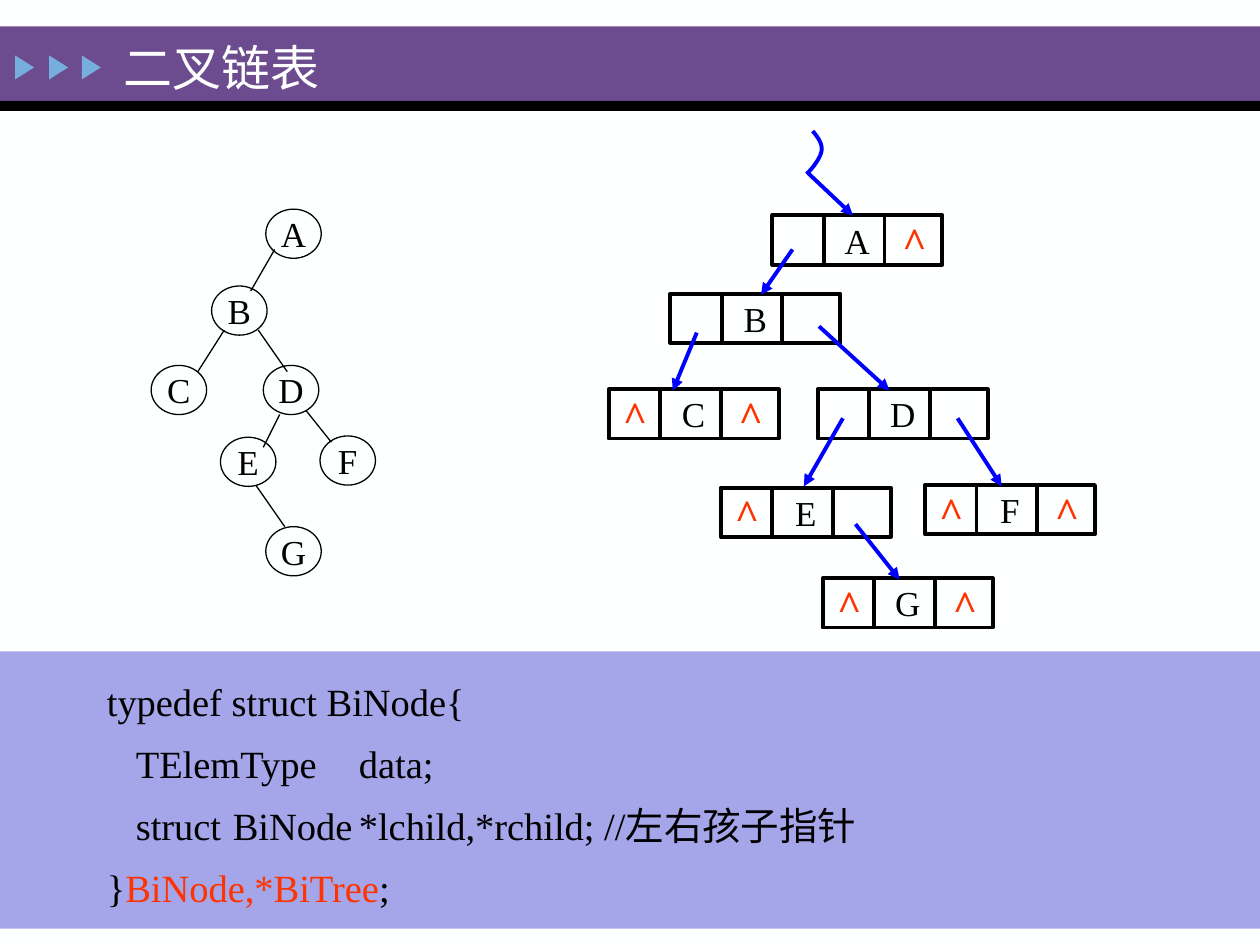
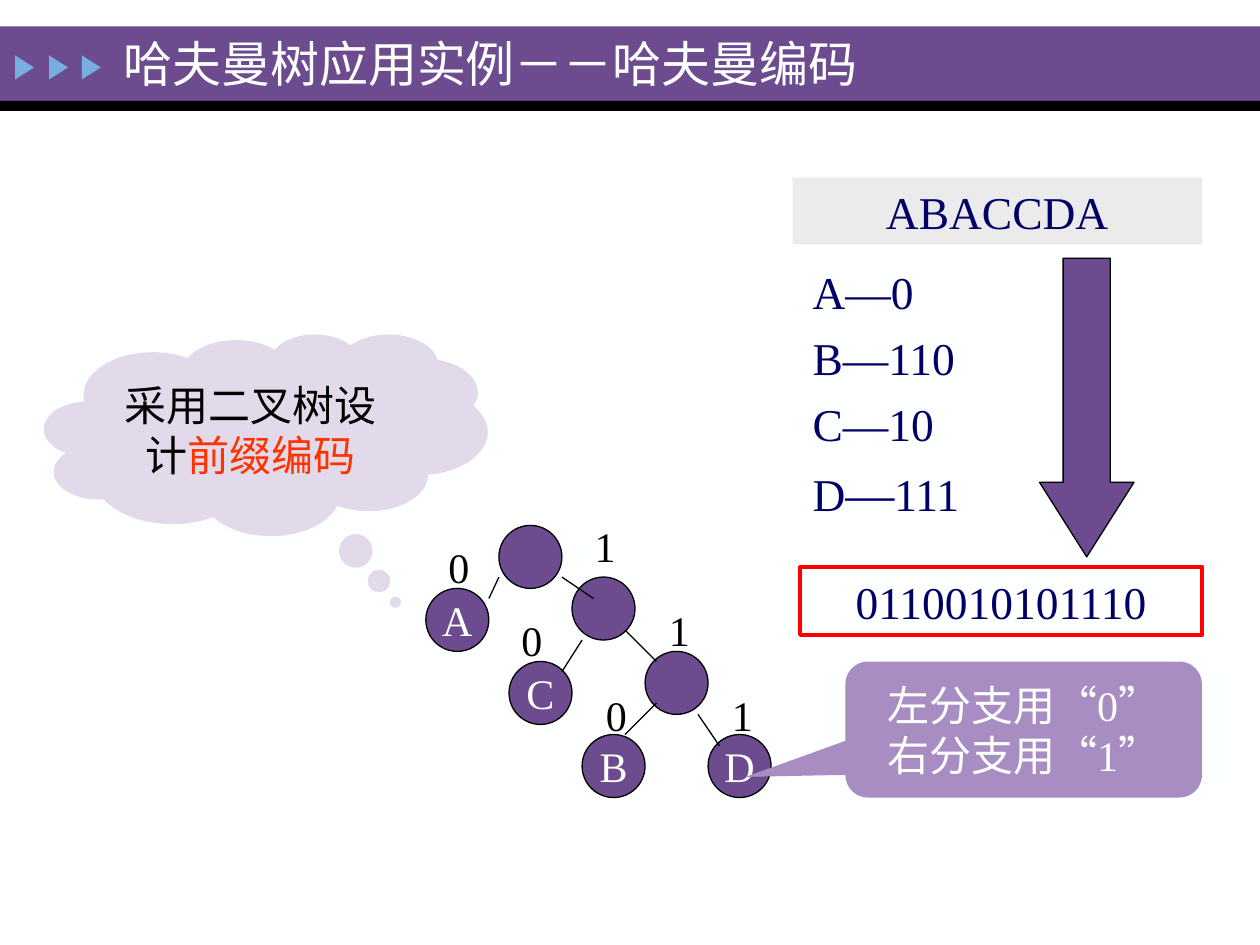
"""Build two slides on binary linked lists and Huffman coding."""
from dataclasses import dataclass
from typing import NamedTuple, Optional

from lxml.etree import SubElement
from pptx import Presentation
from pptx.dml.color import RGBColor
from pptx.enum.shapes import MSO_CONNECTOR, MSO_SHAPE
from pptx.enum.text import MSO_ANCHOR, MSO_AUTO_SIZE, PP_ALIGN
from pptx.oxml.ns import qn
from pptx.util import Inches, Pt

FONT = "Times New Roman"
WHITE, BLACK, PURPLE, SKY = "FEFFFF", "000000", "6C4C8F", "76AEDD"
LAVENDER, CLOUD, CALLOUT, GREY = "A5A5E9", "E2D9EB", "A78DC2", "EBEBEB"
ORANGE, RED, BLUE, NAVY = "FF3300", "FF0000", "0000FF", "000066"
THIN, THICK = 0.75, 2.25


class Box(NamedTuple):
    """Left, top, width and height in inches."""
    left: float
    top: float
    width: float
    height: float

    def lengths(self) -> list:
        """Return the four sides as lengths."""
        return [Inches(side) for side in self]


class Edge(NamedTuple):
    """A straight line from one point to another, in inches."""
    x1: float
    y1: float
    x2: float
    y2: float


class Span(NamedTuple):
    """A stretch of text that differs from its paragraph."""
    text: str
    color: Optional[str] = None
    size: Optional[float] = None


class Circle(NamedTuple):
    """A tree node with its top left corner."""
    label: str
    left: float
    top: float


@dataclass(frozen=True)
class ListNode:
    """A linked-list node and its empty child pointers."""
    label: str
    left: float
    top: float
    no_left: bool = False
    no_right: bool = False


@dataclass(frozen=True)
class CodeLine:
    """A line of code with its first-line indent and tab stops."""
    spans: tuple
    indent: float = 0
    tabs: tuple = ()


TREE_NODES = [
    Circle("A", 2.11, 1.66), Circle("B", 1.68, 2.27), Circle("C", 1.2, 2.9), Circle("D", 2.09, 2.9),
    Circle("E", 1.75, 3.47), Circle("F", 2.54, 3.46), Circle("G", 2.11, 4.18),
]
TREE_EDGES = [
    Edge(2.18, 1.98, 1.99, 2.31), Edge(1.78, 2.62, 1.57, 2.95), Edge(2.05, 2.62, 2.28, 2.95),
    Edge(2.22, 3.29, 2.09, 3.55), Edge(2.43, 3.26, 2.63, 3.51), Edge(2.03, 3.85, 2.26, 4.18),
]
LIST_NODES = [
    ListNode("A", 6.13, 1.71, no_right=True), ListNode("B", 5.32, 2.33),
    ListNode("C", 4.83, 3.09, True, True), ListNode("D", 6.49, 3.09),
    ListNode("E", 5.72, 3.87, no_left=True), ListNode("F", 7.34, 3.85, True, True),
    ListNode("G", 6.53, 4.59, True, True),
]
POINTERS = [
    Edge(6.29, 1.98, 6.04, 2.34), Edge(5.53, 2.64, 5.34, 3.1), Edge(6.5, 2.59, 7.06, 3.1),
    Edge(6.69, 3.32, 6.38, 3.86), Edge(7.6, 3.32, 7.95, 3.86), Edge(6.79, 4.16, 7.14, 4.6),
    Edge(6.42, 1.38, 6.77, 1.71),
]
ROOT_CURVES = [
    [(6.45, 1.04), (6.49, 1.09), (6.53, 1.14), (6.52, 1.2)],
    [(6.52, 1.2), (6.51, 1.26), (6.43, 1.36), (6.4, 1.38)],
]
STRUCT_LINES = [
    CodeLine(("typedef struct BiNode{",)),
    CodeLine(("TElemType\tdata;",), 0.23, (1.88,)),
    CodeLine(("struct\tBiNode\t*lchild,*rchild; //左右孩子指针",), 0.23, (1.05, 2.23)),
    CodeLine(("}", Span("BiNode,*BiTree", ORANGE), ";")),
]
HUFFMAN_NODES = [
    Circle("", 3.96, 4.17), Circle("", 4.54, 4.58), Circle("", 5.12, 5.17), Circle("A", 3.38, 4.67),
    Circle("C", 4.04, 5.25), Circle("B", 4.62, 5.83), Circle("D", 5.62, 5.83),
]
HUFFMAN_EDGES = [
    Edge(3.96, 4.58, 3.88, 4.75), Edge(4.46, 4.58, 4.71, 4.75), Edge(4.62, 5.08, 4.46, 5.33),
    Edge(5.21, 5.58, 4.96, 5.83), Edge(5.54, 5.67, 5.71, 5.92), Edge(4.96, 5, 5.21, 5.25),
]
BRANCH_BITS = [
    Circle("0", 3.46, 4.25), Circle("0", 4.04, 4.83), Circle("0", 4.71, 5.42),
    Circle("1", 4.62, 4.08), Circle("1", 5.21, 4.75), Circle("1", 5.71, 5.42),
]


def paint(target, color: str) -> None:
    """Set a fill or font to a hex colour."""
    if hasattr(target, "solid"):
        target.solid()
        target.fore_color.rgb = RGBColor.from_string(color)
    else:
        target.color.rgb = RGBColor.from_string(color)


def write(shape, *paragraphs, size=20, color=BLACK, bold=None, align=PP_ALIGN.CENTER,
          anchor=MSO_ANCHOR.MIDDLE, wrap=True, before=0, spacing=None):
    """Write paragraphs, each a string or a tuple of strings and spans."""
    frame = shape.text_frame
    frame.auto_size = MSO_AUTO_SIZE.NONE
    frame.word_wrap = wrap
    frame.vertical_anchor = anchor
    for index, content in enumerate(paragraphs):
        paragraph = frame.add_paragraph() if index else frame.paragraphs[0]
        paragraph.alignment = align
        paragraph.space_before = Pt(before if index else 0)
        paragraph.line_spacing = spacing
        for part in (content,) if isinstance(content, str) else content:
            span = Span(part) if isinstance(part, str) else part
            run = paragraph.add_run()
            run.text = span.text
            run.font.name = FONT
            run.font.size = Pt(span.size or size)
            run.font.bold = bold
            paint(run.font, span.color or color)
    return shape


def add_figure(slide, kind, box: Box, fill=None, line=None, width=THIN, adjust=()):
    """Add a preset shape with a plain fill and outline."""
    shape = slide.shapes.add_shape(kind, *box.lengths())
    shape.shadow.inherit = False
    for index, value in enumerate(adjust):
        shape.adjustments[index] = value
    finish(shape, fill, line, width)
    return shape


def finish(shape, fill, line, width) -> None:
    """Apply a fill and an outline, or none."""
    if fill:
        paint(shape.fill, fill)
    else:
        shape.fill.background()
    if line:
        paint(shape.line.fill, line)
        shape.line.width = Pt(width)
    else:
        shape.line.fill.background()


def add_label(slide, box: Box, *paragraphs, **style):
    """Add a text box."""
    return write(slide.shapes.add_textbox(*box.lengths()), *paragraphs, **style)


def add_edge(slide, edge: Edge, color=BLACK, width=THIN, arrow=False) -> None:
    """Add a straight line, with an arrowhead at its end if asked."""
    ends = [Inches(end) for end in edge]
    connector = slide.shapes.add_connector(MSO_CONNECTOR.STRAIGHT, *ends)
    paint(connector.line.fill, color)
    connector.line.width = Pt(width)
    properties = connector.element.spPr
    if arrow:
        SubElement(properties.get_or_add_ln(), qn("a:tailEnd"), type="triangle")
    SubElement(properties, qn("a:effectLst"))


def add_curve(slide, curves: list, color: str, width: float, steps: int = 12) -> None:
    """Draw joined cubic curves as one open outline."""
    points = []
    for curve in curves:
        for step in range(steps + 1):
            t = step / steps
            weights = ((1 - t) ** 3, 3 * t * (1 - t) ** 2, 3 * t * t * (1 - t), t ** 3)
            points.append(tuple(
                Inches(sum(w * point[axis] for w, point in zip(weights, curve)))
                for axis in (0, 1)))
    builder = slide.shapes.build_freeform(*points[0])
    builder.add_line_segments(points[1:], close=False)
    outline = builder.convert_to_shape()
    outline.shadow.inherit = False
    finish(outline, None, color, width)


def add_circles(slide, nodes: list, width: float, height: float, fill=None, **style) -> None:
    """Draw the round nodes of a tree."""
    for node in nodes:
        circle = add_figure(slide, MSO_SHAPE.OVAL, Box(node.left, node.top, width, height),
                            fill, BLACK)
        if node.label:
            write(circle, node.label, wrap=False, **style)


def add_list_node(slide, node: ListNode) -> None:
    """Draw a three-cell node with a caret for each empty pointer."""
    cell = Box(node.left, node.top, 1.35, 0.39)
    write(add_figure(slide, MSO_SHAPE.RECTANGLE, cell, line=BLACK, width=THICK),
          node.label, wrap=False)
    for offset in (0.41, 0.89):
        x = node.left + offset
        add_edge(slide, Edge(x, node.top, x, node.top + cell.height), width=THICK)
    for empty, offset in ((node.no_left, 0.01), (node.no_right, 0.93)):
        if empty:
            add_label(slide, Box(node.left + offset, node.top - 0.05, 0.4, 0.5), "^",
                      size=24, color=ORANGE, bold=True, wrap=False)


def set_up_layout(layout, slide) -> None:
    """Move the header band, its rule and arrows to the layout."""
    paint(layout.background.fill, WHITE)
    header = [
        add_figure(slide, MSO_SHAPE.RECTANGLE, Box(0, 0.21, 10, 0.59), PURPLE),
        add_figure(slide, MSO_SHAPE.RECTANGLE, Box(0, 0.8, 10, 0.08), BLACK),
    ]
    for left in (0.1, 0.37, 0.63):
        arrow = add_figure(slide, MSO_SHAPE.ISOSCELES_TRIANGLE, Box(left, 0.46, 0.19, 0.15), SKY)
        arrow.rotation = 90
        header.append(arrow)
    for number, part in enumerate(header, start=20):
        part.element.nvSpPr.cNvPr.set("id", str(number))
        layout.shapes.element.append(part.element)


def set_title(slide, text: str, box: Box) -> None:
    """Place and write the slide title."""
    title = slide.shapes.title
    title.left, title.top, title.width, title.height = box.lengths()
    write(title, text, size=28, color=WHITE, align=PP_ALIGN.LEFT)


def build_linked_list(slide) -> None:
    """Show a tree, its linked list and the node type."""
    set_title(slide, "二叉链表", Box(0.88, 0.25, 3.49, 0.56))
    add_figure(slide, MSO_SHAPE.RECTANGLE, Box(0, 5.17, 10, 2.2), LAVENDER)
    add_circles(slide, TREE_NODES, 0.44, 0.39)
    for edge in TREE_EDGES:
        add_edge(slide, edge)
    for node in LIST_NODES:
        add_list_node(slide, node)
    for pointer in POINTERS:
        add_edge(slide, pointer, BLUE, THICK, arrow=True)
    add_curve(slide, ROOT_CURVES, BLUE, THICK)
    struct = add_label(slide, Box(0.75, 5.2, 8.17, 2.05), *(line.spans for line in STRUCT_LINES),
                       size=22, align=PP_ALIGN.LEFT, anchor=MSO_ANCHOR.TOP, spacing=1.35)
    for paragraph, line in zip(struct.text_frame.paragraphs, STRUCT_LINES):
        if line.tabs:
            properties = paragraph.line_spacing and paragraph.alignment is not None
            properties = paragraph.runs[0].font and paragraph.runs[0]._r.getparent().pPr
            properties.set("marL", "0")
            properties.set("indent", str(Inches(line.indent)))
            stops = SubElement(properties, qn("a:tabLst"))
            for stop in line.tabs:
                SubElement(stops, qn("a:tab"), pos=str(Inches(stop)), algn="l")


def build_huffman(slide) -> None:
    """Show a Huffman tree and the code it gives."""
    set_title(slide, "哈夫曼树应用实例－－哈夫曼编码", Box(0.88, 0.22, 6.42, 0.56))
    add_circles(slide, HUFFMAN_NODES, 0.5, 0.5, PURPLE, size=24, color=WHITE)
    for edge in HUFFMAN_EDGES:
        add_edge(slide, edge)
    for bit in BRANCH_BITS:
        add_label(slide, Box(bit.left, bit.top, 0.58, 0.5), bit.label, size=24,
                  align=PP_ALIGN.LEFT, anchor=MSO_ANCHOR.TOP)
    idea = add_figure(slide, MSO_SHAPE.CLOUD_CALLOUT, Box(0.35, 2.65, 3.52, 1.6), CLOUD,
                      adjust=(0.292, 0.831))
    write(idea, ("采用二叉树设计", Span("前缀编码", ORANGE)), size=24)
    rule = add_figure(slide, MSO_SHAPE.ROUNDED_RECTANGULAR_CALLOUT, Box(6.71, 5.25, 2.83, 1.08),
                      CALLOUT, adjust=(-0.78, 0.348, 0.167))
    write(rule, "左分支用“0”", "右分支用“1”", size=24, color=WHITE)
    add_label(slide, Box(6.35, 2.05, 1.52, 2.14), "A—0", "B—110", "C—10",
              ("D", Span("—", size=28), "111"), size=26, color=NAVY, before=6.5,
              align=PP_ALIGN.LEFT, anchor=MSO_ANCHOR.TOP)
    add_figure(slide, MSO_SHAPE.DOWN_ARROW, Box(8.25, 2.05, 0.75, 2.37), PURPLE, BLACK,
               adjust=(0.5, 0.789))
    encoded = add_figure(slide, MSO_SHAPE.RECTANGLE, Box(6.35, 4.5, 3.19, 0.54), None, RED, THICK)
    message = add_figure(slide, MSO_SHAPE.RECTANGLE, Box(6.29, 1.41, 3.25, 0.53), GREY)
    for field, text in ((encoded, "0110010101110"), (message, "ABACCDA")):
        write(field, text, size=26, color=NAVY)


def main() -> None:
    """Build and save the presentation."""
    presentation = Presentation()
    presentation.slide_width, presentation.slide_height = Inches(10), Inches(7.5)
    layout = presentation.slide_layouts[5]
    linked_list, huffman = (presentation.slides.add_slide(layout) for _ in range(2))
    set_up_layout(layout, linked_list)
    build_linked_list(linked_list)
    build_huffman(huffman)
    presentation.save("out.pptx")


if __name__ == "__main__":
    main()
